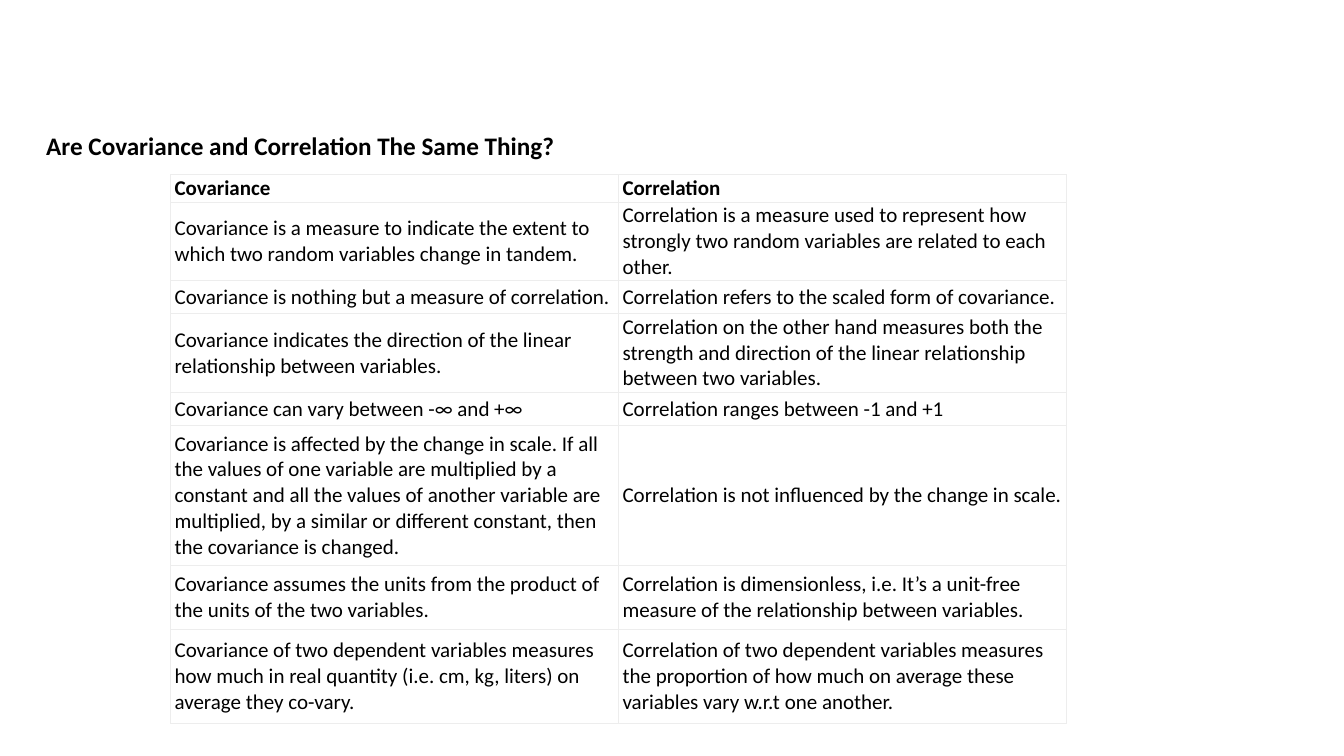
from dataclasses import dataclass

from lxml.etree import SubElement
from pptx import Presentation
from pptx.dml.color import RGBColor as Rgb
from pptx.enum.text import MSO_ANCHOR as Anchor, MSO_AUTO_SIZE as Fit, PP_ALIGN as Align
from pptx.oxml.ns import qn
from pptx.util import Cm, Pt


@dataclass(frozen=True)
class Theme:
    """Colours, font and type sizes of the slide."""
    ink: str = "000000"
    paper: str = "FFFFFF"
    rule: str = "EDEDED"
    face: str = "Calibri"
    title: float = 18
    cell: float = 15


THEME = Theme()
HEADS = ("Covariance", "Correlation")
PAIRS = [
    ("Covariance is a measure to indicate the extent to which two random variables change in tandem.",
     "Correlation is a measure used to represent how strongly two random variables are related to each other."),
    ("Covariance is nothing but a measure of correlation.",
     "Correlation refers to the scaled form of covariance."),
    ("Covariance indicates the direction of the linear relationship between variables.",
     "Correlation on the other hand measures both the strength and direction of the linear "
     "relationship between two variables."),
    ("Covariance can vary between -∞ and +∞",
     "Correlation ranges between -1 and +1"),
    ("Covariance is affected by the change in scale. If all the values of one variable are multiplied "
     "by a constant and all the values of another variable are multiplied, by a similar or different "
     "constant, then the covariance is changed.",
     "Correlation is not influenced by the change in scale."),
    ("Covariance assumes the units from the product of the units of the two variables.",
     "Correlation is dimensionless, i.e. It’s a unit-free measure of the relationship between variables."),
    ("Covariance of two dependent variables measures how much in real quantity (i.e. cm, kg, liters) "
     "on average they co-vary.",
     "Correlation of two dependent variables measures the proportion of how much on average these "
     "variables vary w.r.t one another."),
]
ROWS = (0.68, 1.97, 0.83, 1.97, 0.83, 3.53, 1.61, 2.36)


def style(run, size, bold):
    """Format one run of text."""
    font = run.font
    font.name, font.size, font.bold = THEME.face, Pt(size), bold
    font.color.rgb = Rgb.from_string(THEME.ink)


def edge(cell):
    """Draw a thin rule on all four sides of a cell."""
    props = cell._tc.get_or_add_tcPr()
    for index, side in enumerate(("a:lnL", "a:lnR", "a:lnT", "a:lnB")):
        line = props.makeelement(qn(side), {"w": str(Pt(0.75))})
        fill = SubElement(line, qn("a:solidFill"))
        SubElement(fill, qn("a:srgbClr"), val=THEME.rule)
        props.insert(index, line)


def add_title(slide, left, top, width, height):
    """Place and format the slide's title."""
    title = slide.shapes.title
    title.left, title.top, title.width, title.height = left, top, width, height
    frame = title.text_frame
    frame.text = "Are Covariance and Correlation The Same Thing?"
    frame.word_wrap, frame.auto_size = True, Fit.NONE
    frame.vertical_anchor = Anchor.MIDDLE
    para = frame.paragraphs[0]
    para.alignment, para.line_spacing = Align.LEFT, 1.0
    style(para.runs[0], THEME.title, True)


def add_grid(slide, left, top, width, height):
    """Compare the two measures side by side in a table."""
    table = slide.shapes.add_table(len(ROWS), len(HEADS), left, top, width, height).table
    table.horz_banding = False
    for row, (tall, texts) in enumerate(zip(ROWS, [HEADS, *PAIRS])):
        table.rows[row].height = Cm(tall)
        for col, text in enumerate(texts):
            cell = table.cell(row, col)
            cell.text = text
            cell.vertical_anchor = Anchor.MIDDLE
            cell.margin_left = cell.margin_right = Cm(0.1)
            cell.margin_top = cell.margin_bottom = Cm(0.02)
            cell.fill.solid()
            cell.fill.fore_color.rgb = Rgb.from_string(THEME.paper)
            edge(cell)
            style(cell.text_frame.paragraphs[0].runs[0], THEME.cell, row == 0)


def main():
    """Build the slide and save it."""
    deck = Presentation()
    deck.slide_width, deck.slide_height = Cm(33.87), Cm(19.05)
    slide = deck.slides.add_slide(deck.slide_layouts[5])
    add_title(slide, Cm(0.91), Cm(3.16), Cm(15.65), Cm(1.02))
    add_grid(slide, Cm(4.3), Cm(4.4), Cm(22.58), Cm(sum(ROWS)))
    deck.save("out.pptx")


if __name__ == "__main__":
    main()
